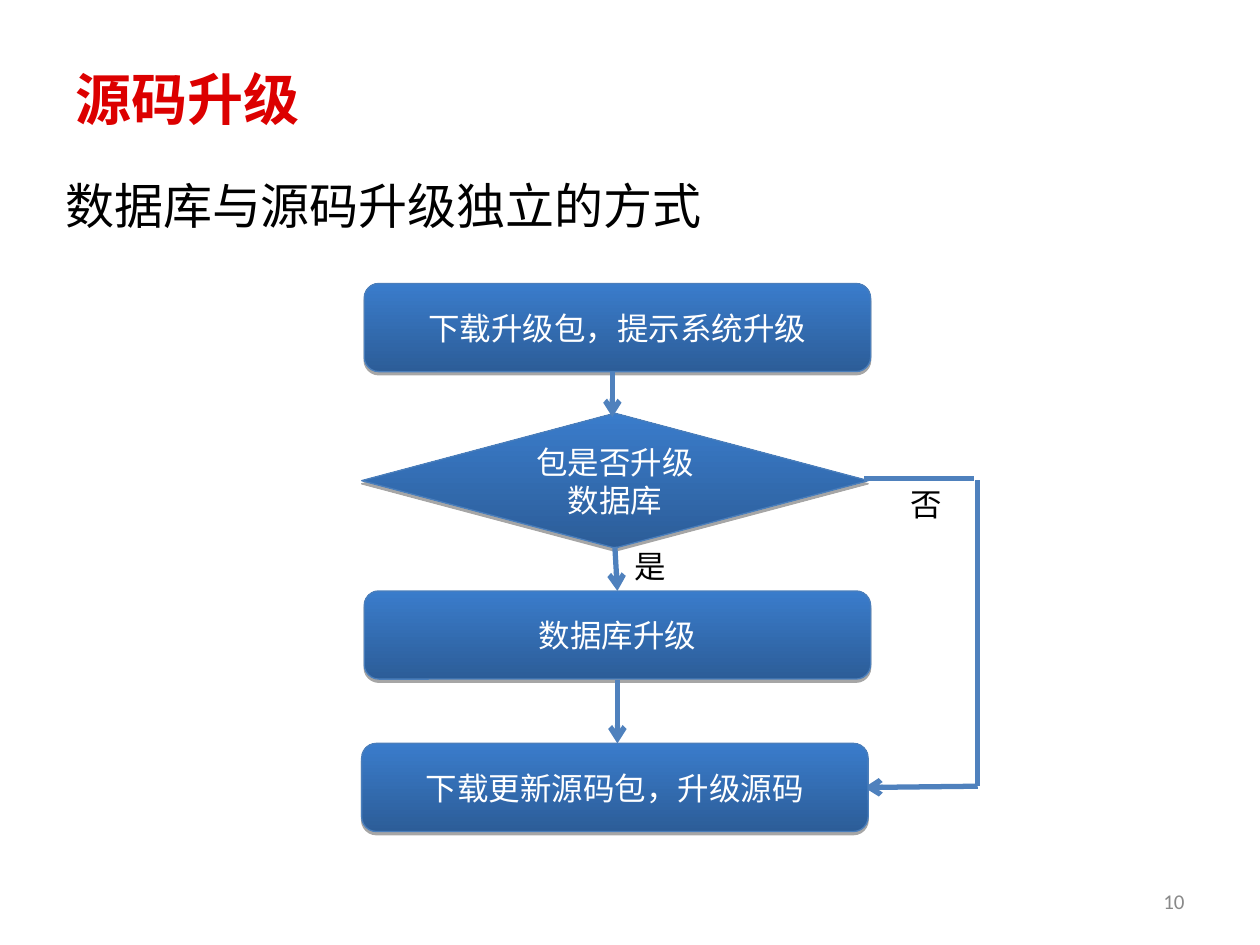
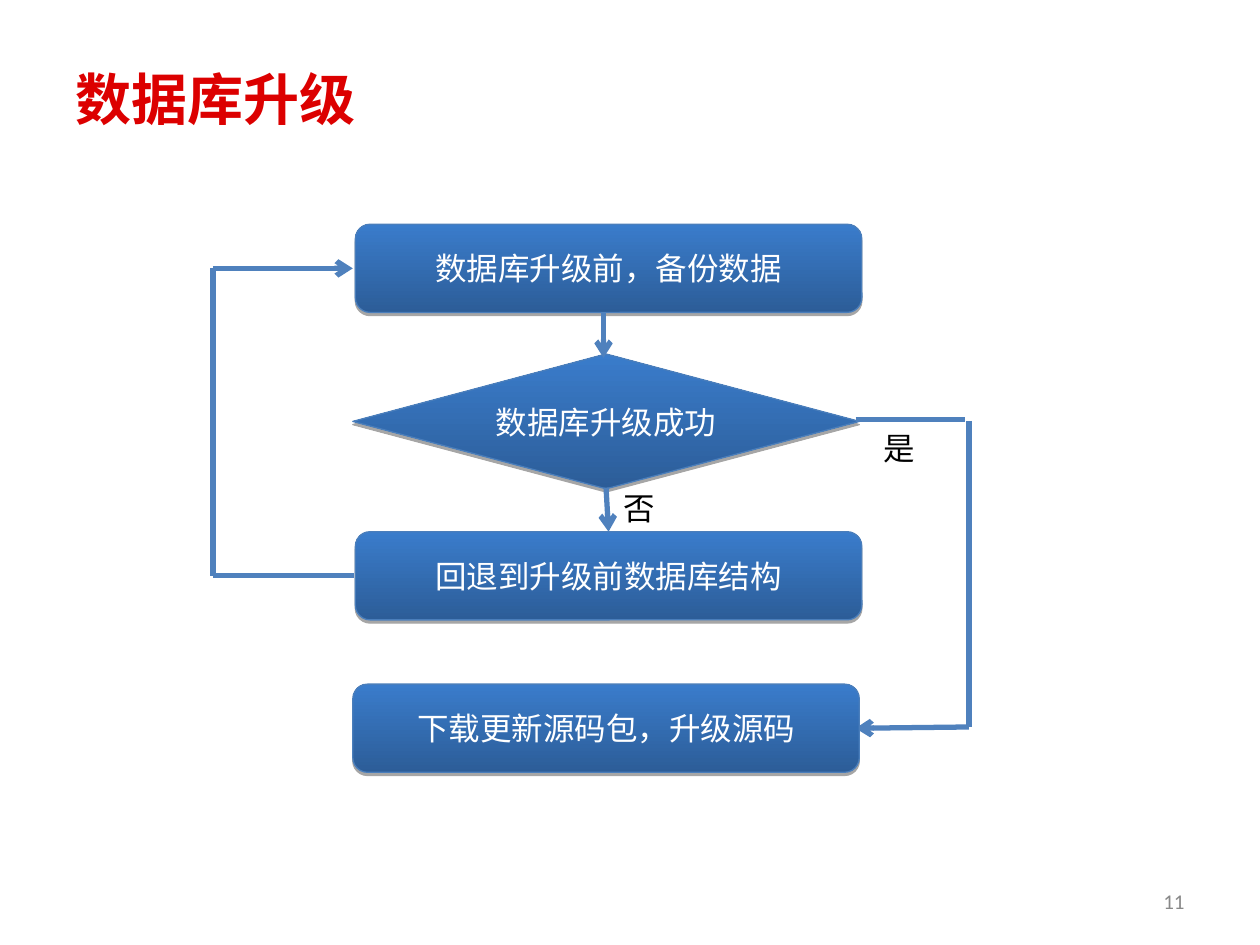
from itertools import pairwise

from lxml.etree import SubElement
from pptx import Presentation
from pptx.dml.color import RGBColor
from pptx.enum.shapes import MSO_CONNECTOR as Line, MSO_SHAPE as Preset
from pptx.enum.text import MSO_ANCHOR as Anchor, MSO_AUTO_SIZE as AutoSize, PP_ALIGN as Align
from pptx.oxml.ns import qn
from pptx.util import Inches, Pt

COLORS = {
    "title": "DC0000",
    "text": "000000",
    "number": "898989",
    "step_text": "FFFFFF",
    "step_dark": "2C5D98",
    "step_light": "3A7CCB",
    "step_edge": "4A7EBB",
    "arrow": "4F81BD",
    "shadow": "000000",
}
CJK_FONT = "Noto Sans CJK SC"
STEP_WIDTH = 4.02
STEP_HEIGHT = 0.7
CHOICE_HEIGHT = 1.07


def rgb(name):
    return RGBColor.from_string(COLORS[name])


def write_text(frame, text, *, size=18, font="Calibri", color="text", bold=False,
               align=Align.LEFT, anchor=Anchor.TOP, wrap=True, top=0.05):
    frame.word_wrap = wrap
    frame.auto_size = AutoSize.NONE if wrap else AutoSize.SHAPE_TO_FIT_TEXT
    frame.vertical_anchor = anchor
    frame.margin_left = frame.margin_right = Inches(0.1)
    frame.margin_top, frame.margin_bottom = Inches(top), Inches(0.05)
    for index, line in enumerate(text.split("\n")):
        paragraph = frame.add_paragraph() if index else frame.paragraphs[0]
        paragraph.alignment = align
        run = paragraph.add_run()
        run.text = line
        run.font.size = Pt(size)
        run.font.bold = bold
        run.font.name = font
        run.font.color.rgb = rgb(color)
        SubElement(run.font._element, qn("a:ea"), typeface=CJK_FONT)


class FlowDeck:
    def __init__(self):
        self.deck = Presentation()
        self.deck.slide_width, self.deck.slide_height = Inches(10), Inches(7.5)
        self.slide = None
        self.origin = (0, 0)

    def new_slide(self, title, number, origin):
        self.slide = self.deck.slides.add_slide(self.deck.slide_layouts[6])
        self.origin = (0, 0)
        self.text(title, 0.5, 0.3, 9, 0.95, size=32, font=CJK_FONT,
                  color="title", bold=True, anchor=Anchor.MIDDLE)
        self.text(number, 7.17, 6.95, 2.33, 0.4, size=12, color="number",
                  align=Align.RIGHT, anchor=Anchor.MIDDLE)
        self.origin = origin

    def place(self, x, y):
        return Inches(self.origin[0] + x), Inches(self.origin[1] + y)

    def text(self, text, x, y, width, height, **style):
        box = self.slide.shapes.add_textbox(*self.place(x, y), Inches(width), Inches(height))
        write_text(box.text_frame, text, **style)

    def label(self, text, x, y):
        self.text(text, x, y, 0.45, 0.4, font="Arial", wrap=False)

    def step(self, text, x, y, preset=Preset.ROUNDED_RECTANGLE, height=STEP_HEIGHT):
        step = self.slide.shapes.add_shape(
            preset, *self.place(x, y), Inches(STEP_WIDTH), Inches(height))
        step.fill.gradient()
        step.fill.gradient_angle = 90
        for stop, color in zip(step.fill.gradient_stops, ("step_dark", "step_light")):
            stop.color.rgb = rgb(color)
        step.line.color.rgb = rgb("step_edge")
        step.line.width = Pt(0.75)
        step.shadow.inherit = False
        effects = step._element.spPr.find(qn("a:effectLst"))
        shadow = SubElement(effects, qn("a:outerShdw"), blurRad="0", dist=str(Pt(1.8)),
                            dir="5400000", rotWithShape="0")
        shade = SubElement(shadow, qn("a:srgbClr"), val=COLORS["shadow"])
        SubElement(shade, qn("a:alpha"), val="35000")
        write_text(step.text_frame, text, color="step_text",
                   align=Align.CENTER, anchor=Anchor.MIDDLE)

    def segment(self, start, end, arrow=False):
        segment = self.slide.shapes.add_connector(
            Line.STRAIGHT, *self.place(*start), *self.place(*end))
        segment.line.color.rgb = rgb("arrow")
        segment.line.width = Pt(3)
        properties = segment._element.spPr
        if arrow:
            SubElement(properties.find(qn("a:ln")), qn("a:tailEnd"), type="arrow")
        SubElement(properties, qn("a:effectLst"))

    def route(self, *points):
        for start, end in pairwise(points):
            self.segment(start, end, arrow=end == points[-1])

    def flow(self, first, choice, branch, last):
        self.step(first, 0.02, 0)
        self.step(choice, 0, 1.03, Preset.DIAMOND, CHOICE_HEIGHT)
        self.segment((3.99, 1.55), (4.86, 1.55))
        self.route((2.01, 2.09), (2.03, 2.44))
        self.route((1.99, 0.7), (1.99, 1.06))
        self.route((4.89, 1.56), (4.89, 3.99), (3.99, 4))
        self.step(branch, 0.02, 2.44)
        self.step(last, 0, 3.65)


def main():
    flows = FlowDeck()

    flows.new_slide("源码升级", "10", origin=(0, 0))
    flows.text("数据库与源码升级独立的方式", 0.42, 1.39, 9, 5.29,
               size=28, font=CJK_FONT, top=0)
    flows.origin = (2.87, 2.25)
    flows.flow("下载升级包，提示系统升级", "包是否升级\n数据库",
               "数据库升级", "下载更新源码包，升级源码")
    flows.route((2.03, 3.15), (2.03, 3.65))
    flows.label("否", 4.26, 1.55)
    flows.label("是", 2.07, 2.04)

    flows.new_slide("数据库升级", "11", origin=(2.8, 1.78))
    flows.flow("数据库升级前，备份数据", "数据库升级成功",
               "回退到升级前数据库结构", "下载更新源码包，升级源码")
    flows.label("否", 2.05, 2.05)
    flows.label("是", 4.11, 1.58)
    flows.route((0.01, 2.79), (-1.11, 2.79), (-1.11, 0.35), (0, 0.35))

    flows.deck.save("out.pptx")


if __name__ == "__main__":
    main()
